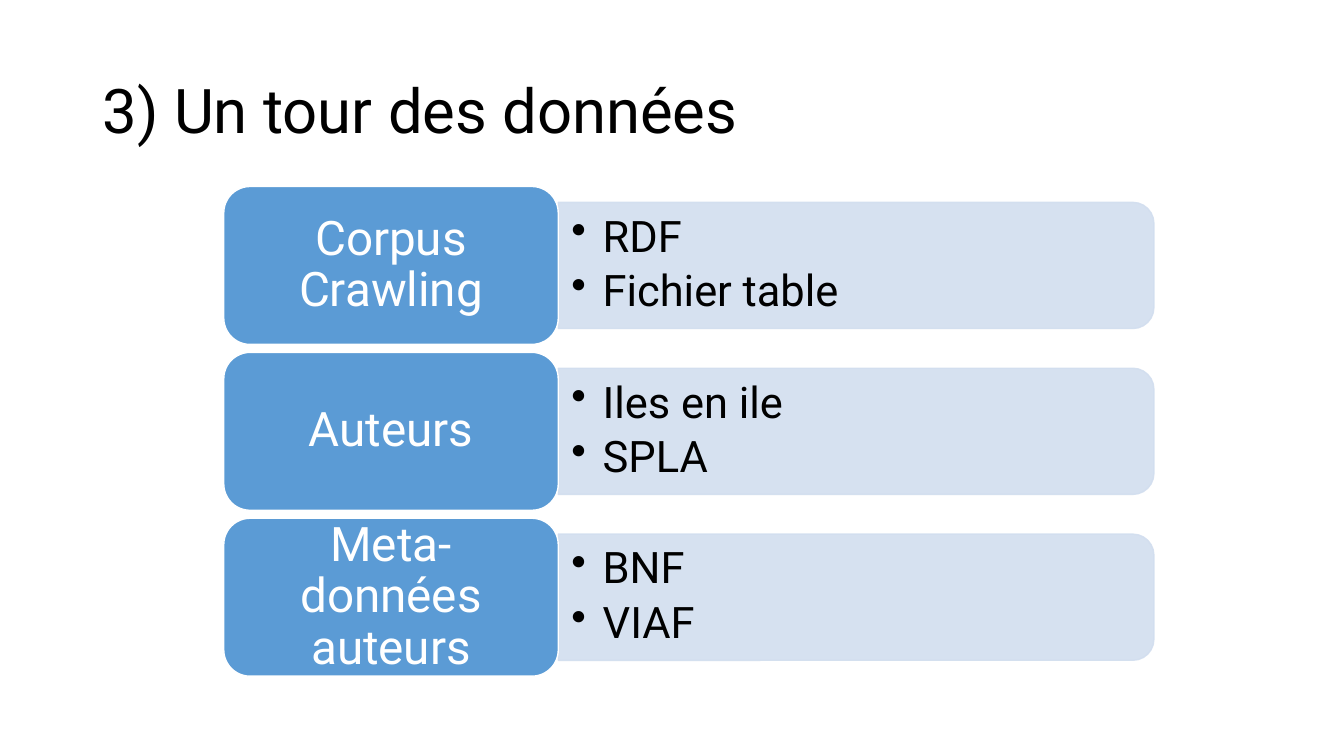
"""Build the slide that lists the data sources by theme."""
from dataclasses import dataclass

from lxml import etree
from pptx import Presentation
from pptx.dml.color import RGBColor
from pptx.enum.shapes import MSO_SHAPE
from pptx.enum.text import MSO_ANCHOR, MSO_AUTO_SIZE, PP_ALIGN
from pptx.oxml.ns import qn
from pptx.util import Cm, Pt

ROUNDED = MSO_SHAPE.ROUNDED_RECTANGLE
TOP_ROUNDED = MSO_SHAPE.ROUND_2_SAME_RECTANGLE
MIDDLE = MSO_ANCHOR.MIDDLE
NO_FIT = MSO_AUTO_SIZE.NONE
LEFT = PP_ALIGN.LEFT
CENTER = PP_ALIGN.CENTER

SOURCES = [
    ("Corpus Crawling", ["RDF", "Fichier table"]),
    ("Auteurs", ["Iles en ile", "SPLA"]),
    ("Meta-données auteurs", ["BNF", "VIAF"]),
]


@dataclass(frozen=True)
class Theme:
    font: str = "Roboto"
    ink: str = "000000"
    paper: str = "FFFFFF"
    label: str = "5B9BD5"
    panel: str = "D2DEEF"
    panel_alpha: int = 90
    title_size: int = 44
    label_size: int = 34
    item_size: int = 31


class SourceSlide:
    def __init__(self, slide, theme):
        self.slide = slide
        self.theme = theme

    def set_text(self, frame, lines, size, color, align, inset=(0.25, 0.13)):
        frame.word_wrap = True
        frame.auto_size = NO_FIT
        frame.vertical_anchor = MIDDLE
        frame.margin_left = frame.margin_right = Cm(inset[0])
        frame.margin_top = frame.margin_bottom = Cm(inset[1])
        for index, line in enumerate(lines):
            paragraph = frame.add_paragraph() if index else frame.paragraphs[0]
            paragraph.alignment = align
            paragraph.line_spacing = 0.9
            run = paragraph.add_run()
            run.text = line
            run.font.name = self.theme.font
            run.font.size = Pt(size)
            run.font.color.rgb = RGBColor.from_string(color)

    def title(self, text, left, top, width, height):
        heading = self.slide.shapes.title
        heading.left, heading.top = Cm(left), Cm(top)
        heading.width, heading.height = Cm(width), Cm(height)
        self.set_text(heading.text_frame, [text], self.theme.title_size,
                      self.theme.ink, LEFT)

    def block(self, kind, left, top, width, height, fill, line):
        block = self.slide.shapes.add_shape(
            kind, Cm(left), Cm(top), Cm(width), Cm(height))
        block.shadow.inherit = False
        block.fill.solid()
        block.fill.fore_color.rgb = RGBColor.from_string(fill)
        block.line.color.rgb = RGBColor.from_string(line)
        block.line.width = Pt(1)
        return block

    def panel(self, left, top, width, height):
        shift = (width - height) / 2
        color = self.theme.panel
        panel = self.block(TOP_ROUNDED, left + shift, top - shift,
                           height, width, color, color)
        panel.rotation = 90
        for tint in panel._element.spPr.iter(qn("a:srgbClr")):
            etree.SubElement(tint, qn("a:alpha"),
                             val=str(self.theme.panel_alpha * 1000))

    def label(self, text, left, top, width, height):
        label = self.block(ROUNDED, left, top, width, height,
                           self.theme.label, self.theme.paper)
        self.set_text(label.text_frame, [text], self.theme.label_size,
                      self.theme.paper, CENTER, (0.36, 0.18))

    def bullets(self, items, left, top, width, height):
        box = self.slide.shapes.add_textbox(
            Cm(left), Cm(top), Cm(width), Cm(height))
        self.set_text(box.text_frame, items, self.theme.item_size,
                      self.theme.ink, LEFT, (0.33, 0.16))
        for paragraph in box.text_frame.paragraphs:
            paragraph.space_after = Pt(5.5)
            properties = paragraph._p.get_or_add_pPr()
            properties.set("marL", str(Cm(0.79)))
            properties.set("indent", str(Cm(-0.79)))
            etree.SubElement(properties, qn("a:buChar"), char="•")


def main():
    deck = Presentation()
    deck.slide_width, deck.slide_height = Cm(33.87), Cm(19.05)
    page = SourceSlide(deck.slides.add_slide(deck.slide_layouts[5]), Theme())
    page.title("3) Un tour des données", 2.34, 1.02, 29.21, 3.68)

    label_left, label_width, label_height = 5.64, 8.43, 3.98
    panel_left, panel_width, panel_height = 14.07, 15.01, 3.18
    list_width, list_height = 14.83, 2.87
    first_top, row_step = 4.7, 4.18
    for row, (theme_name, items) in enumerate(SOURCES):
        top = first_top + row * row_step
        middle = top + label_height / 2
        page.panel(panel_left, middle - panel_height / 2,
                   panel_width, panel_height)
        page.bullets(items, panel_left, middle - list_height / 2,
                     list_width, list_height)
        page.label(theme_name, label_left, top, label_width, label_height)

    deck.save("out.pptx")


if __name__ == "__main__":
    main()
